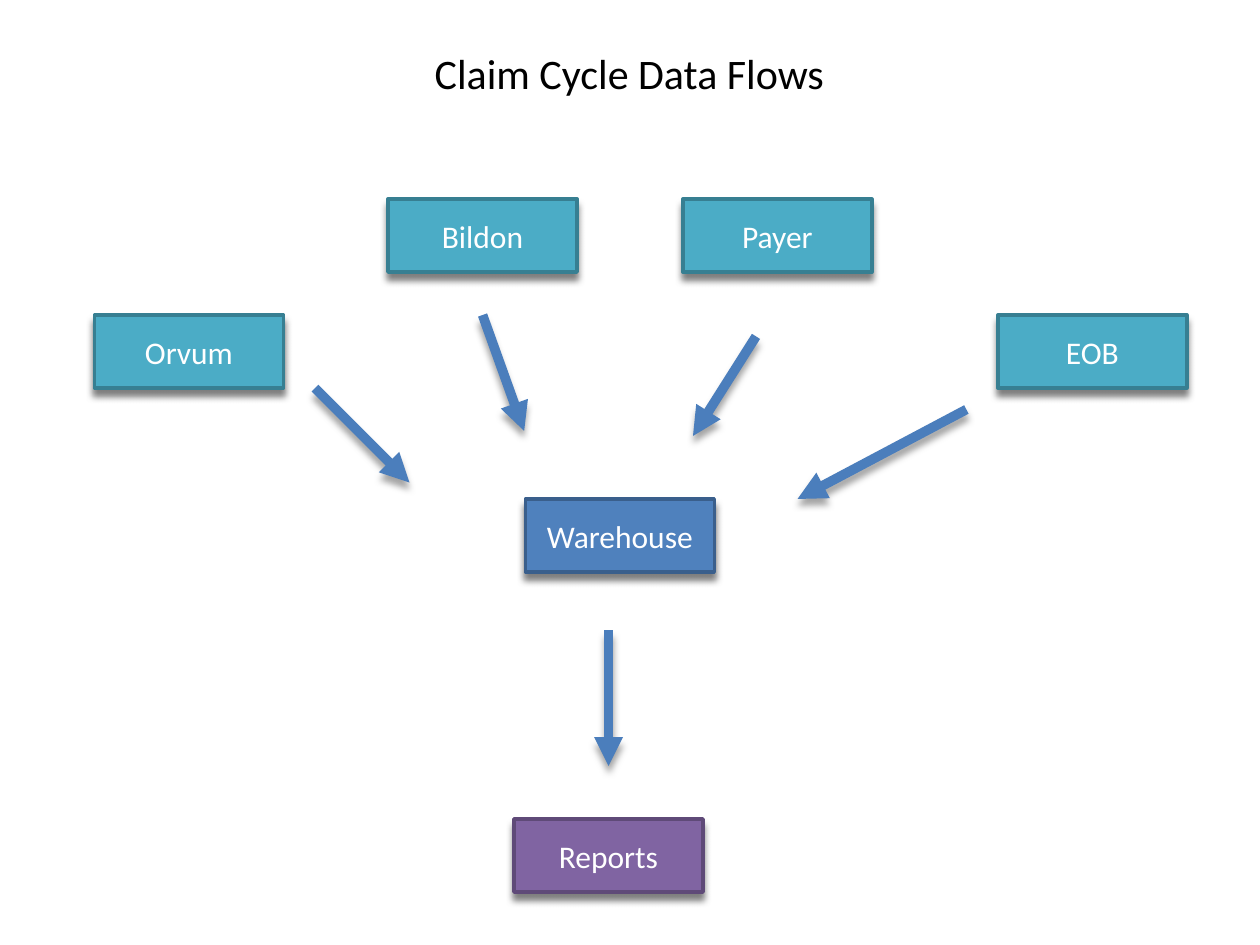
from lxml import etree
from pptx import Presentation
from pptx.dml.color import RGBColor
from pptx.enum.shapes import MSO_CONNECTOR, MSO_SHAPE
from pptx.enum.text import MSO_ANCHOR, PP_ALIGN
from pptx.oxml.ns import qn
from pptx.util import Inches, Pt

RECTANGLE = MSO_SHAPE.RECTANGLE
STRAIGHT = MSO_CONNECTOR.STRAIGHT
MIDDLE = MSO_ANCHOR.MIDDLE
CENTER = PP_ALIGN.CENTER

COLORS = {
    "title": "000000", "label": "FFFFFF", "arrow": "4B7EBC",
    "source": "4BACC6", "source_edge": "377F92",
    "store": "4F81BD", "store_edge": "3A5F8C",
    "output": "8064A2", "output_edge": "5F4A78",
    "box_shadow": "808080", "arrow_shadow": "A6A6A6",
}
BOX_WIDTH, BOX_HEIGHT = 1.5, 0.58


def color(name):
    """Return the named colour."""
    return RGBColor.from_string(COLORS[name])


class FlowSlide:
    """Hold the slide and the style of its elements."""

    font = "Calibri"

    def __init__(self, page):
        """Keep the slide to draw on."""
        self.page = page

    def add_text(self, frame, text, size, ink):
        """Put one centred run into a text frame."""
        frame.word_wrap = True
        para = frame.paragraphs[0]
        para.alignment = CENTER
        span = para.add_run()
        span.text = text
        span.font.name = self.font
        span.font.size = Pt(size)
        span.font.color.rgb = color(ink)

    def drop_shadow(self, item, ink):
        """Add a soft shadow straight below an element."""
        effects = etree.SubElement(item.element.spPr, qn("a:effectLst"))
        shadow = etree.SubElement(
            effects, qn("a:outerShdw"), blurRad=str(Pt(4)), dist=str(Pt(4)),
            dir="5400000", algn="ctr", rotWithShape="0")
        etree.SubElement(shadow, qn("a:srgbClr"), val=COLORS[ink])

    def title(self, text, left, top, width, height):
        """Add the heading."""
        box = self.page.shapes.add_textbox(
            Inches(left), Inches(top), Inches(width), Inches(height))
        self.add_text(box.text_frame, text, 24, "title")

    def box(self, text, left, top, role):
        """Add a labelled system box coloured by its role."""
        box = self.page.shapes.add_shape(
            RECTANGLE, Inches(left), Inches(top),
            Inches(BOX_WIDTH), Inches(BOX_HEIGHT))
        box.fill.solid()
        box.fill.fore_color.rgb = color(role)
        box.line.color.rgb = color(role + "_edge")
        box.line.width = Pt(2)
        self.drop_shadow(box, "box_shadow")
        box.text_frame.vertical_anchor = MIDDLE
        self.add_text(box.text_frame, text, 18, "label")

    def arrow(self, start, end):
        """Add a flow arrow between two points."""
        arrow = self.page.shapes.add_connector(
            STRAIGHT, *(Inches(value) for value in start + end))
        arrow.line.color.rgb = color("arrow")
        arrow.line.width = Pt(5.5)
        outline = arrow.element.spPr.find(qn("a:ln"))
        etree.SubElement(outline, qn("a:tailEnd"), type="triangle")
        self.drop_shadow(arrow, "arrow_shadow")


def main():
    """Build and save the deck."""
    deck = Presentation()
    deck.slide_width, deck.slide_height = Inches(10), Inches(7.5)
    flow = FlowSlide(deck.slides.add_slide(deck.slide_layouts[6]))

    boxes = [
        ("Warehouse", 4.17, 3.96, "store"),
        ("EOB", 7.92, 2.5, "source"),
        ("Payer", 5.42, 1.58, "source"),
        ("Bildon", 3.08, 1.58, "source"),
        ("Orvum", 0.75, 2.5, "source"),
        ("Reports", 4.08, 6.5, "output"),
    ]
    for box in boxes:
        flow.box(*box)

    arrows = [
        ((2.5, 3.08), (3.25, 3.83)),
        ((3.83, 2.5), (4.16, 3.42)),
        ((6, 2.67), (5.5, 3.46)),
        ((7.67, 3.25), (6.33, 3.96)),
        ((4.83, 5), (4.83, 6.08)),
    ]
    for start, end in arrows:
        flow.arrow(start, end)

    flow.title("Claim Cycle Data Flows", 0.58, 0.33, 8.83, 0.5)
    deck.save("out.pptx")


main()
